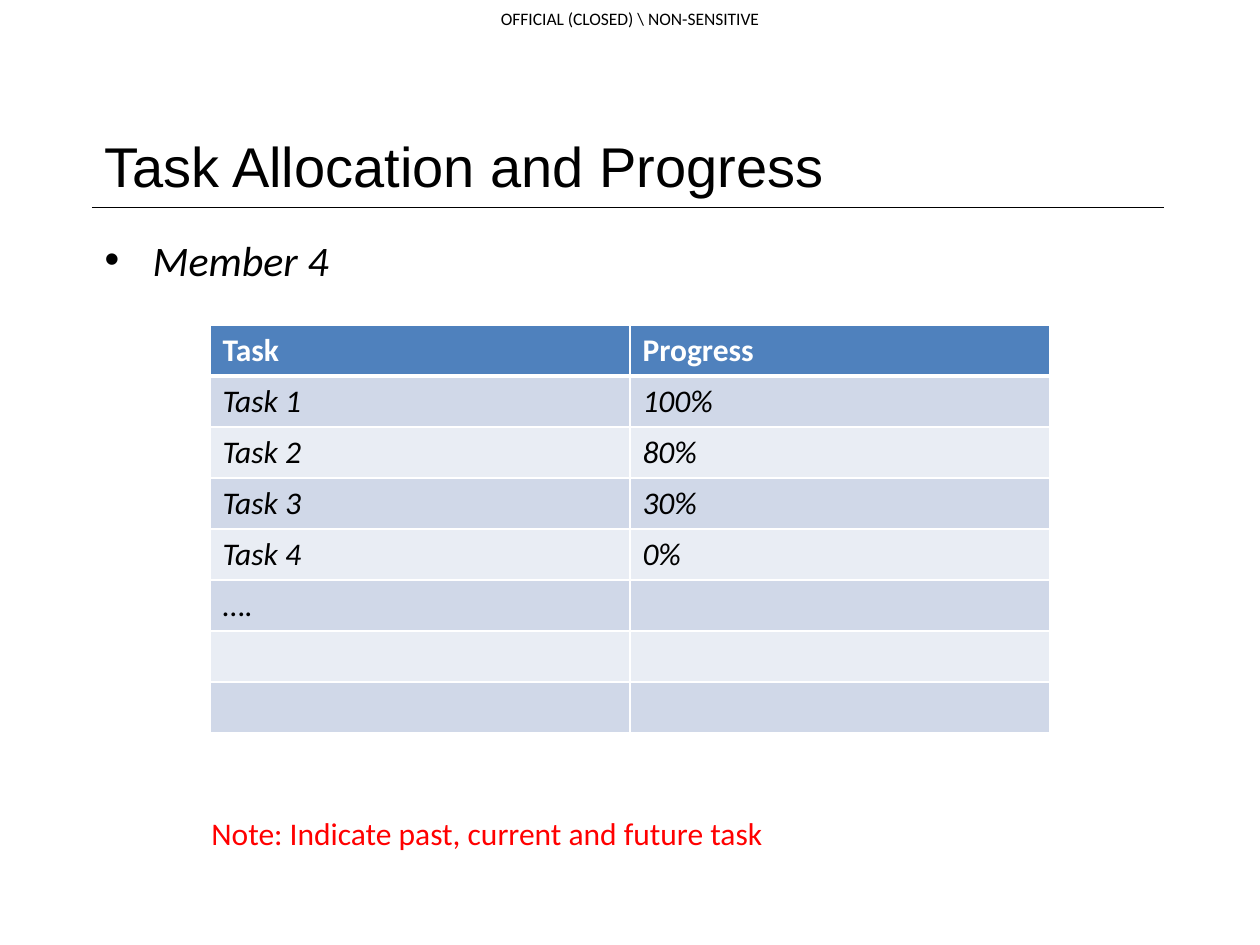
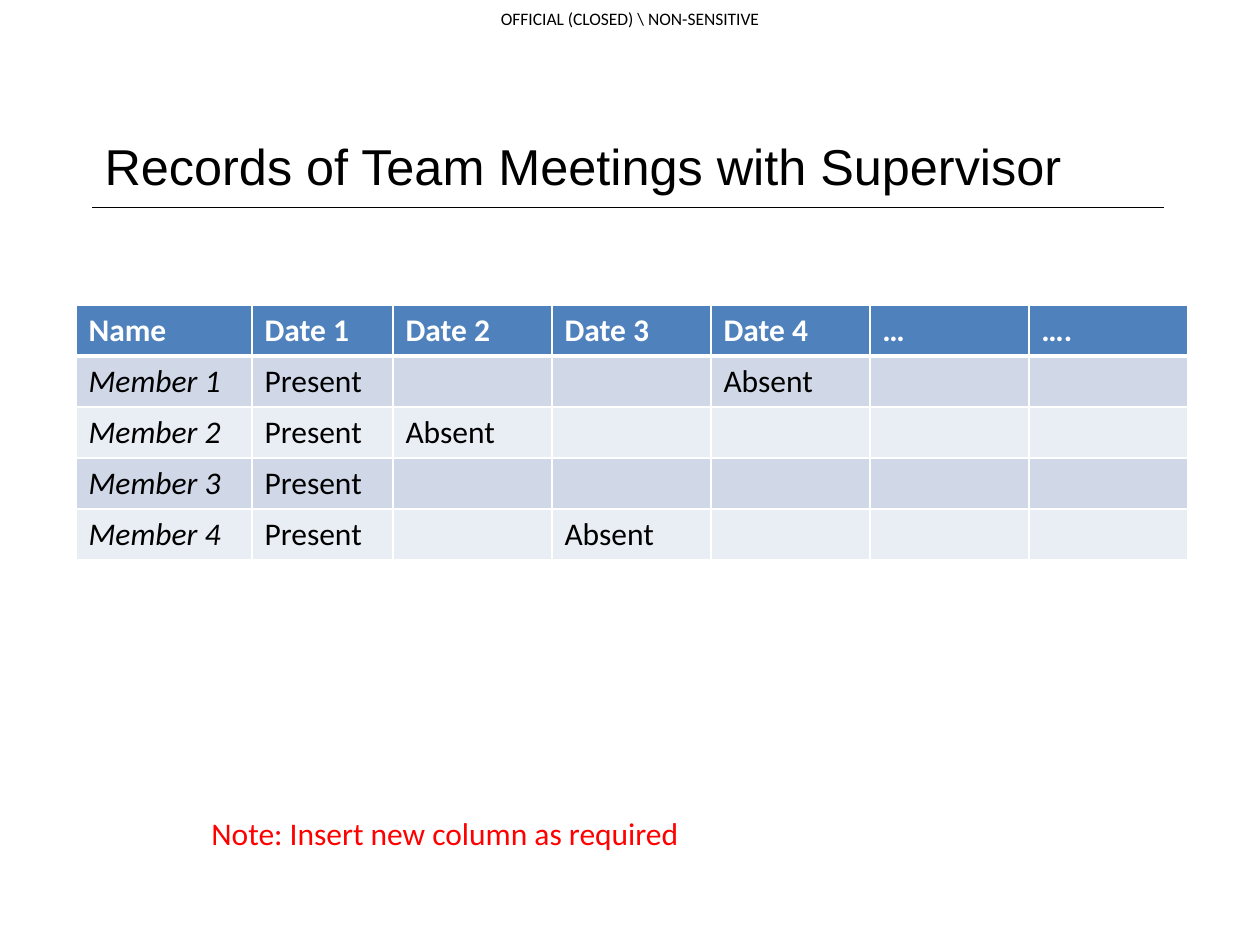
from pptx import Presentation
from pptx.dml.color import RGBColor
from pptx.enum.shapes import MSO_CONNECTOR
from pptx.enum.text import MSO_ANCHOR, MSO_AUTO_SIZE, PP_ALIGN
from pptx.oxml.ns import qn
from pptx.util import Pt
from lxml.etree import SubElement

SCALE = 914400 / 126
COLORS = {
    "text": "000000",
    "note": "FF0000",
    "white": "FFFFFF",
    "header": "4F81BD",
    "odd": "D0D8E8",
    "even": "E9EDF4",
}
CONTENT_LAYOUT, TITLE_LAYOUT = 1, 5
LEFT, WIDTH = 92, 1072
RULE_Y = 207
ROW_HEIGHT = 51


def px(value):
    """Turn pixels into EMU."""
    return round(value * SCALE)


def rgb(name):
    """Return a palette colour."""
    return RGBColor.from_string(COLORS[name])


class Deck:
    """Holds the style and the current slide."""

    def __init__(self):
        """Start an empty presentation."""
        self.prs = Presentation()
        self.prs.slide_width, self.prs.slide_height = px(1260), px(945)
        self.s = None

    def slide(self, layout, title, size):
        """Add a slide with its marking, rule and title."""
        self.s = self.prs.slides.add_slide(self.prs.slide_layouts[layout])
        self.marking("OFFICIAL (CLOSED) \\ NON-SENSITIVE")
        self.rule()
        self.title(title, size)

    def style(self, p, size, color="text", name="Calibri", bold=False, italic=False):
        """Set the font of a paragraph."""
        font = p.font
        font.name, font.size = name, Pt(size)
        font.bold, font.italic = bold, italic
        font.color.rgb = rgb(color)

    def place(self, sp, left, top, width, height):
        """Move and size a shape."""
        sp.left, sp.top = px(left), px(top)
        sp.width, sp.height = px(width), px(height)

    def textbox(self, text, box, size, color="text"):
        """Add a one-line text box and return its frame."""
        tf = self.s.shapes.add_textbox(*map(px, box)).text_frame
        tf.text = text
        self.style(tf.paragraphs[0], size, color)
        return tf

    def marking(self, text):
        """Add the classification marking at the top."""
        tf = self.textbox(text, (478, 0, 304, 37), 10)
        tf.word_wrap = True
        tf.vertical_anchor = MSO_ANCHOR.MIDDLE
        tf.margin_left = tf.margin_right = tf.margin_top = tf.margin_bottom = 0
        tf.paragraphs[0].alignment = PP_ALIGN.CENTER

    def rule(self):
        """Draw the thin line under the title."""
        line = self.s.shapes.add_connector(
            MSO_CONNECTOR.STRAIGHT, px(LEFT), px(RULE_Y), px(LEFT + WIDTH), px(RULE_Y))
        line.line.color.rgb = rgb("text")
        line.line.width = Pt(0.25)
        SubElement(line._element.spPr, qn("a:effectLst"))

    def title(self, text, size):
        """Fill the title placeholder."""
        sp = self.s.shapes.title
        self.place(sp, LEFT, 124, WIDTH, 83)
        tf = sp.text_frame
        tf.text = text
        tf.auto_size = MSO_AUTO_SIZE.NONE
        tf.vertical_anchor = MSO_ANCHOR.MIDDLE
        tf.paragraphs[0].alignment = PP_ALIGN.LEFT
        self.style(tf.paragraphs[0], size, name="Arial")

    def bullet(self, text):
        """Fill the body placeholder with one bulleted line."""
        sp = self.s.placeholders[1]
        self.place(sp, LEFT, 228, WIDTH, 622)
        tf = sp.text_frame
        tf.text = text
        tf.auto_size = MSO_AUTO_SIZE.NONE
        p = tf.paragraphs[0]
        p.space_before = Pt(4.8)
        self.style(p, 24, italic=True)
        pPr = p._p.get_or_add_pPr()
        pPr.set("marL", str(px(48)))
        pPr.set("indent", str(px(-48)))

    def borders(self, cell, is_header):
        """Draw white cell borders, thicker below the header."""
        tcPr = cell._tc.get_or_add_tcPr()
        for side in "LRTB":
            width = 3 if is_header and side == "B" else 1
            ln = SubElement(tcPr, qn("a:ln" + side), w=str(Pt(width)))
            fill = SubElement(ln, qn("a:solidFill"))
            SubElement(fill, qn("a:srgbClr"), val=COLORS["white"])

    def table(self, left, top, widths, rows, is_italic):
        """Add a banded table; is_italic(column, text) picks italic body cells."""
        table = self.s.shapes.add_table(
            len(rows), len(widths), px(left), px(top),
            px(sum(widths)), px(ROW_HEIGHT * len(rows))).table
        for column, width in zip(table.columns, widths):
            column.width = px(width)
        for i, row in enumerate(rows):
            table.rows[i].height = px(ROW_HEIGHT)
            band = "header" if i == 0 else "odd" if i % 2 else "even"
            for j in range(len(widths)):
                cell = table.cell(i, j)
                text = row[j] if j < len(row) else ""
                cell.text = text
                self.style(cell.text_frame.paragraphs[0], 18,
                           "white" if i == 0 else "text", bold=i == 0,
                           italic=i > 0 and is_italic(j, text))
                self.borders(cell, i == 0)
                cell.fill.solid()
                cell.fill.fore_color.rgb = rgb(band)

    def note(self, text, width):
        """Add the red note near the bottom."""
        tf = self.textbox(text, (199, 808, width, 50), 18, "note")
        tf.word_wrap = False


def task_slide(deck):
    """Build the task progress slide."""
    deck.slide(CONTENT_LAYOUT, "Task Allocation and Progress", 32)
    deck.bullet("Member 4")
    rows = [("Task", "Progress"), ("Task 1", "100%"), ("Task 2", "80%"),
            ("Task 3", "30%"), ("Task 4", "0%"), ("….",), (), ()]
    deck.table(210, 325, [420] * 2, rows, lambda column, text: text != "….")
    deck.note("Note: Indicate past, current and future task", 583)


def meeting_slide(deck):
    """Build the meeting attendance slide."""
    deck.slide(TITLE_LAYOUT, "Records of Team Meetings with Supervisor", 28.8)
    rows = [("Name", "Date 1", "Date 2", "Date 3", "Date 4", "…", "…."),
            ("Member 1", "Present", "", "", "Absent"),
            ("Member 2", "Present", "Absent"),
            ("Member 3", "Present"),
            ("Member 4", "Present", "", "Absent")]
    deck.table(76, 305, [176, 141] + [159] * 5, rows, lambda column, text: column == 0)
    deck.note("Note: Insert new column as required", 499)


deck = Deck()
task_slide(deck)
meeting_slide(deck)
deck.prs.save("out.pptx")
